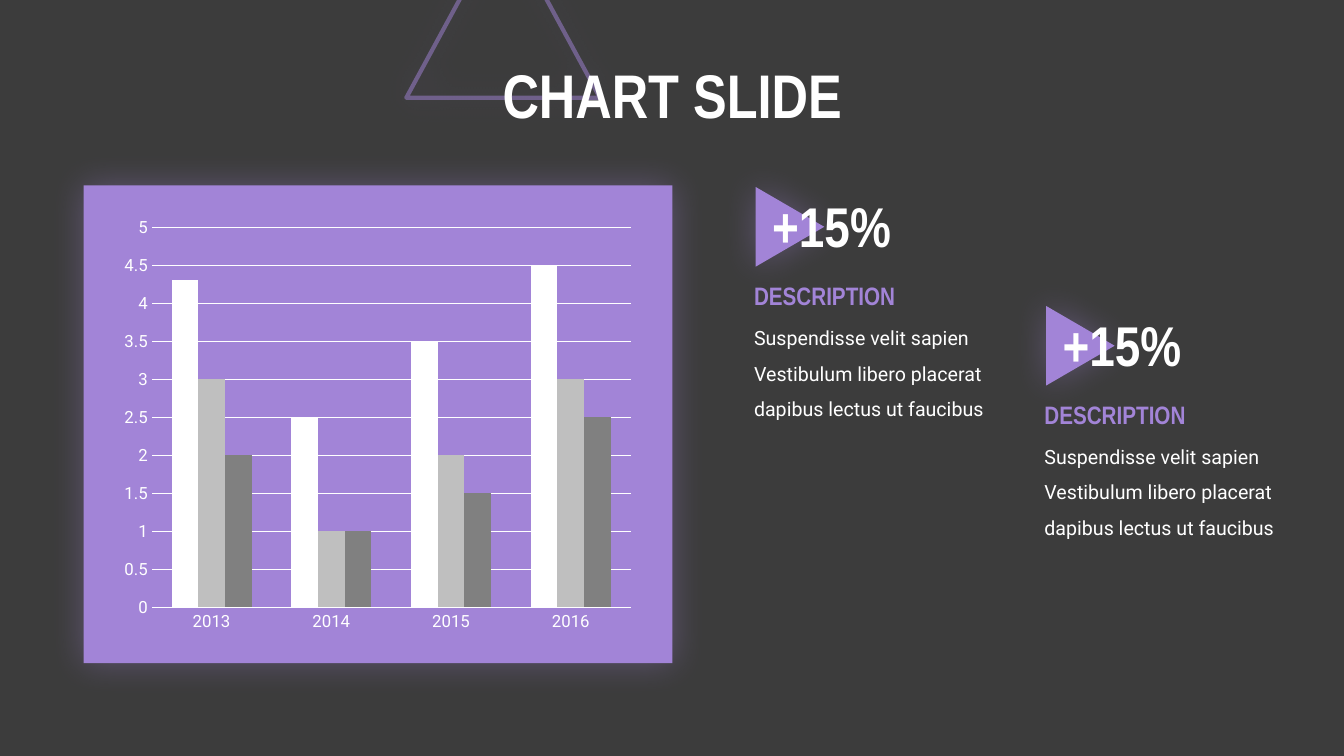
from dataclasses import dataclass

from lxml.etree import SubElement
from pptx import Presentation
from pptx.chart.data import CategoryChartData
from pptx.dml.color import RGBColor
from pptx.enum.chart import XL_CHART_TYPE, XL_TICK_MARK
from pptx.enum.shapes import MSO_SHAPE
from pptx.enum.text import MSO_ANCHOR, MSO_AUTO_SIZE, PP_ALIGN
from pptx.oxml.ns import qn
from pptx.shapes.autoshape import Shape
from pptx.slide import Slide
from pptx.util import Inches, Pt

CHARCOAL = RGBColor(0x3C, 0x3C, 0x3C)
PURPLE = RGBColor(0xA2, 0x84, 0xD7)
WHITE = RGBColor(0xFF, 0xFF, 0xFF)
LIGHT_GREY = RGBColor(0xBF, 0xBF, 0xBF)
MID_GREY = RGBColor(0x80, 0x80, 0x80)
HEADING_FONT = "Arial Narrow"
BODY_FONT = "Roboto"


@dataclass(frozen=True)
class Frame:
    left: float
    top: float
    width: float
    height: float


@dataclass(frozen=True)
class TextStyle:
    font: str
    size: float
    color: RGBColor
    bold: bool = False
    line_spacing: float = 1.0


@dataclass(frozen=True)
class Highlight:
    left: float
    top: float
    figure: str
    heading: str
    body: str


@dataclass(frozen=True)
class Series:
    name: str
    values: tuple[float, ...]
    color: RGBColor


TITLE = TextStyle(HEADING_FONT, 44, WHITE, True, 0.9)
FIGURE = TextStyle(HEADING_FONT, 40, WHITE, True)
HEADING = TextStyle(HEADING_FONT, 18, PURPLE, True)
BODY = TextStyle(BODY_FONT, 14, WHITE, False, 1.5)

DESCRIPTION = "Suspendisse velit sapien Vestibulum libero placerat dapibus lectus ut faucibus"
HIGHLIGHTS = [
    Highlight(7.38, 1.85, "+15%", "DESCRIPTION", DESCRIPTION),
    Highlight(10.26, 3.03, "+15%", "DESCRIPTION", DESCRIPTION),
]
YEARS = ["2013", "2014", "2015", "2016"]
SERIES = [
    Series("Series 1", (4.3, 2.5, 3.5, 4.5), WHITE),
    Series("Series 2", (3, 1, 2, 3), LIGHT_GREY),
    Series("Series 3", (2, 1, 1.5, 2.5), MID_GREY),
]


def inches(frame: Frame) -> tuple[Inches, Inches, Inches, Inches]:
    return Inches(frame.left), Inches(frame.top), Inches(frame.width), Inches(frame.height)


def add_glow_shadow(shape: Shape) -> None:
    """Give the shape a soft purple shadow spreading evenly on all sides."""
    shape.shadow.inherit = False
    effects = shape._element.spPr.find(qn("a:effectLst"))
    shadow = SubElement(effects, qn("a:outerShdw"), blurRad=str(Pt(25)), dist="0",
                        dir="0", algn="ctr", rotWithShape="0")
    color = SubElement(shadow, qn("a:srgbClr"), val=str(PURPLE))
    SubElement(color, qn("a:alpha"), val="35000")


def add_filled_shape(page: Slide, kind: MSO_SHAPE, frame: Frame) -> Shape:
    shape = page.shapes.add_shape(kind, *inches(frame))
    shape.fill.solid()
    shape.fill.fore_color.rgb = PURPLE
    shape.line.fill.background()
    add_glow_shadow(shape)
    return shape


def add_outline_triangle(page: Slide, frame: Frame) -> None:
    triangle = page.shapes.add_shape(MSO_SHAPE.ISOSCELES_TRIANGLE, *inches(frame))
    triangle.fill.background()
    triangle.line.width = Pt(3)
    triangle.line.color.rgb = PURPLE
    color = triangle.line._ln.find(".//" + qn("a:srgbClr"))
    SubElement(color, qn("a:alpha"), val="50000")
    add_glow_shadow(triangle)


def add_text(page: Slide, frame: Frame, text: str, style: TextStyle) -> Shape:
    box = page.shapes.add_textbox(*inches(frame))
    box.text_frame.word_wrap = True
    box.text_frame.auto_size = MSO_AUTO_SIZE.SHAPE_TO_FIT_TEXT
    box.text_frame.text = text
    para = box.text_frame.paragraphs[0]
    para.line_spacing = style.line_spacing
    font = para.runs[0].font
    font.name = style.font
    font.size = Pt(style.size)
    font.bold = style.bold
    font.color.rgb = style.color
    return box


def add_title(page: Slide, frame: Frame, text: str) -> None:
    box = add_text(page, frame, text, TITLE)
    box.text_frame.auto_size = MSO_AUTO_SIZE.NONE
    box.text_frame.vertical_anchor = MSO_ANCHOR.MIDDLE
    box.text_frame.paragraphs[0].alignment = PP_ALIGN.CENTER


def add_highlight(page: Slide, item: Highlight) -> None:
    left, top = item.left, item.top
    arrow = add_filled_shape(page, MSO_SHAPE.ISOSCELES_TRIANGLE,
                             Frame(left + 0.06, top + 0.06, 0.79, 0.68))
    arrow.rotation = 90
    add_text(page, Frame(left, top + 1.22, 2.81, 1.12), item.body, BODY)
    add_text(page, Frame(left, top + 0.88, 2.45, 0.4), item.heading, HEADING)
    add_text(page, Frame(left + 0.18, top, 1.79, 0.77), item.figure, FIGURE)


def add_column_chart(page: Slide, frame: Frame) -> None:
    data = CategoryChartData()
    data.categories = YEARS
    for series in SERIES:
        data.add_series(series.name, series.values)
    chart = page.shapes.add_chart(XL_CHART_TYPE.COLUMN_CLUSTERED, *inches(frame), data).chart
    chart.has_legend = False
    chart.has_title = False
    chart.font.name = BODY_FONT
    chart.font.size = Pt(10)
    chart.font.color.rgb = WHITE

    plot = chart.plots[0]
    plot.vary_by_categories = False
    plot.gap_width = 150
    plot.overlap = 0
    for column, series in zip(plot.series, SERIES):
        column.format.fill.solid()
        column.format.fill.fore_color.rgb = series.color

    for axis in (chart.category_axis, chart.value_axis):
        axis.major_tick_mark = XL_TICK_MARK.NONE
        axis.minor_tick_mark = XL_TICK_MARK.NONE
        axis.format.line.fill.background()
        axis.tick_labels.font.name = BODY_FONT
        axis.tick_labels.font.size = Pt(12)
        axis.tick_labels.font.color.rgb = WHITE

    values = chart.value_axis
    values.minimum_scale = 0
    values.maximum_scale = 5
    values.major_unit = 0.5
    values.has_major_gridlines = True
    values.major_gridlines.format.line.color.rgb = WHITE
    values.major_gridlines.format.line.width = Pt(0.75)


def main() -> None:
    deck = Presentation()
    deck.slide_width = Inches(13.33)
    deck.slide_height = Inches(7.5)
    page = deck.slides.add_slide(deck.slide_layouts[6])
    page.background.fill.solid()
    page.background.fill.fore_color.rgb = CHARCOAL

    add_outline_triangle(page, Frame(4.03, -0.8, 1.92, 1.77))
    add_title(page, Frame(3.27, 0.49, 6.8, 0.98), "CHART SLIDE")
    add_filled_shape(page, MSO_SHAPE.RECTANGLE, Frame(0.83, 1.84, 5.84, 4.74))
    add_column_chart(page, Frame(1.13, 2.07, 5.23, 4.28))
    for item in HIGHLIGHTS:
        add_highlight(page, item)

    deck.save("out.pptx")


if __name__ == "__main__":
    main()
